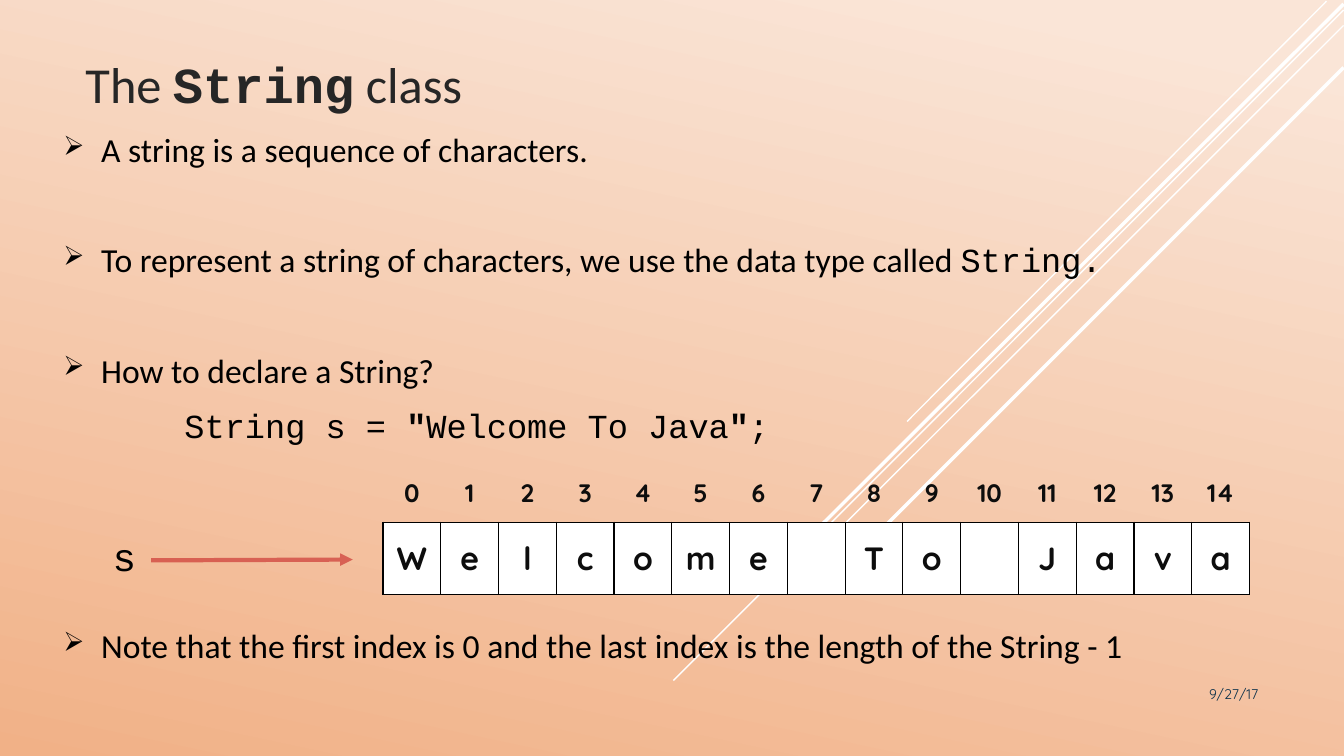
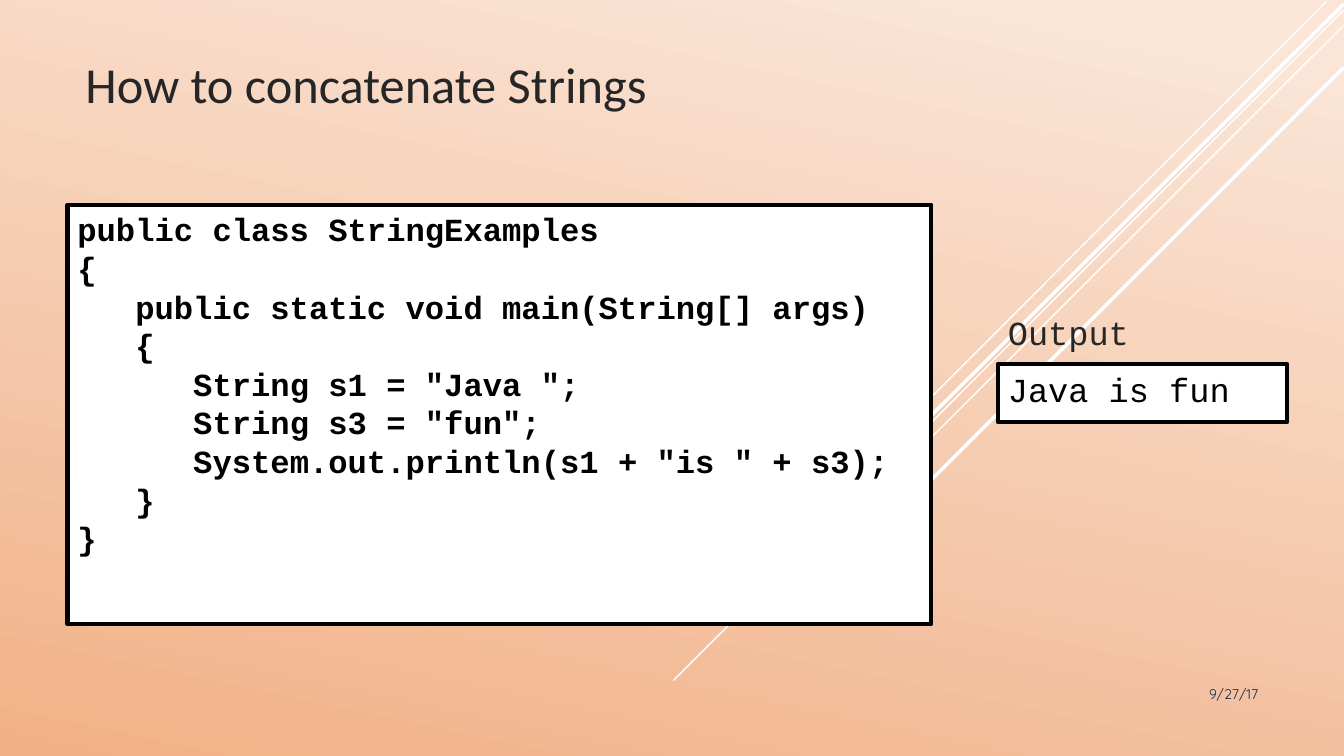
"""Build two slides about the Java String class."""
from lxml import etree
from pptx import Presentation
from pptx.dml.color import RGBColor
from pptx.enum import shapes, text
from pptx.oxml import ns
from pptx.util import Cm, Pt

BLACK = RGBColor(0x00, 0x00, 0x00)
WHITE = RGBColor(0xFF, 0xFF, 0xFF)
INK = RGBColor(0x26, 0x26, 0x26)
CELL_INK = RGBColor(0x0D, 0x0D, 0x0D)
NAVY = RGBColor(0x0A, 0x30, 0x4A)
RED = RGBColor(0xC6, 0x23, 0x24)
PEACH_LIGHT = RGBColor(0xFA, 0xE5, 0xD7)
PEACH_DARK = RGBColor(0xF1, 0xB1, 0x87)
BODY_FONT, CODE_FONT, LABEL_FONT = "Calibri", "Courier New", "Quicksand"


def write(para, size, color, *spans):
    """Add (wording, font, bold) spans to a paragraph."""
    for wording, font, bold in spans:
        span = para.add_run()
        span.text = wording
        span.font.name = font
        span.font.bold = bold
        span.font.size = Pt(size)
        span.font.color.rgb = color


def draw_line(page, ends, color, width):
    """Draw a straight connector without shadow."""
    line = page.shapes.add_connector(shapes.MSO_CONNECTOR.STRAIGHT, *map(Cm, ends))
    line.line.color.rgb = color
    line.line.width = Pt(width)
    etree.SubElement(line.element.spPr, ns.qn("a:effectLst"))
    return line


deck = Presentation()
deck.slide_width, deck.slide_height = Cm(33.87), Cm(19.05)

backdrop = deck.slide_master.background.fill
backdrop.gradient()
backdrop.gradient_angle = 258
for stop, color, position in zip(backdrop.gradient_stops, (PEACH_LIGHT, PEACH_DARK), (0.07, 1)):
    stop.color.rgb = color
    stop.position = position

RAYS = [
    ((33.43, 0.03, 22.86, 10.62), 1),
    ((33.86, 0.25, 16.97, 17.15), 1),
    ((33.86, 0.64, 20.09, 14.4), 1),
    ((33.86, 0.1, 20.37, 13.56), 2.5),
    ((33.86, 1.7, 21.79, 13.77), 2.5),
]
TITLES = [
    [("The ", BODY_FONT, False), ("String", CODE_FONT, True), (" class", BODY_FONT, False)],
    [("How to concatenate Strings", BODY_FONT, False)],
]
pages = []
for title_spans in TITLES:
    page = deck.slides.add_slide(deck.slide_layouts[5])
    pages.append(page)
    for ends, width in RAYS:
        draw_line(page, ends, WHITE, width)
    title = page.shapes.title
    title.left, title.top, title.width, title.height = Cm(1.9), Cm(0.38), Cm(22.22), Cm(2.62)
    title.text_frame.auto_size = text.MSO_AUTO_SIZE.NONE
    title.text_frame.vertical_anchor = text.MSO_ANCHOR.BOTTOM
    para = title.text_frame.paragraphs[0]
    para.alignment = text.PP_ALIGN.LEFT
    write(para, 36, INK, *title_spans)
    date = page.shapes.add_textbox(Cm(27.51), Cm(17.15), Cm(4.45), Cm(1.02))
    date.text_frame.word_wrap = True
    para = date.text_frame.paragraphs[0]
    para.alignment = text.PP_ALIGN.RIGHT
    write(para, 10, NAVY, ("9/27/17", LABEL_FONT, False))

string_page, concat_page = pages

BODY = [
    (0, True, [("A string is a sequence of characters.", BODY_FONT, False)]),
    (44, True, [
        ("To represent a string of characters, we use the data type called ", BODY_FONT, False),
        ("String.", CODE_FONT, False),
    ]),
    (44, True, [("How to declare a String?", BODY_FONT, False)]),
    (4.5, False, [
        ("String s = ", CODE_FONT, False),
        ('"', CODE_FONT, True),
        ("Welcome To Java", CODE_FONT, False),
        ('"', CODE_FONT, True),
        (";", CODE_FONT, False),
    ]),
    (122.5, True, [(
        "Note that the first index is 0 and the last index is the length of the String - 1",
        BODY_FONT, False,
    )]),
]
body = string_page.shapes.add_textbox(Cm(1.35), Cm(3.12), Cm(30.61), Cm(15.04)).text_frame
body.word_wrap = True
for number, (gap, bulleted, spans) in enumerate(BODY):
    para = body.add_paragraph() if number else body.paragraphs[0]
    para.alignment = text.PP_ALIGN.JUSTIFY
    para.space_before, para.space_after = Pt(gap), Pt(6)
    write(para, 24, BLACK, *spans)
    props = para._p.get_or_add_pPr()
    props.set("marL", str(Cm(0.95 if bulleted else 3.05)))
    if bulleted:
        props.set("indent", str(-Cm(0.95)))
        bullet_color = etree.SubElement(props, ns.qn("a:buClr"))
        etree.SubElement(bullet_color, ns.qn("a:srgbClr"), val=str(BLACK))
        etree.SubElement(props, ns.qn("a:buSzPct"), val="80000")
        etree.SubElement(props, ns.qn("a:buChar"), char="➢")

LETTERS = "Welcome To Java"
GRIDS = [
    (LETTERS, 13.16, 1.83, 23, True),
    ([str(index) for index in range(len(LETTERS))], 11.66, 1.52, 18, False),
]
for entries, top, height, size, boxed in GRIDS:
    table = string_page.shapes.add_table(
        1, len(entries), Cm(9.65), Cm(top), Cm(21.84), Cm(height)).table
    table.first_row = table.horz_banding = False
    table.rows[0].height = Cm(height)
    for column, entry in enumerate(entries):
        table.columns[column].width = Cm(21.84 / len(entries))
        cell = table.cell(0, column)
        cell.vertical_anchor = text.MSO_ANCHOR.MIDDLE
        cell.margin_left = cell.margin_right = Cm(0.2)
        cell.margin_top = cell.margin_bottom = Cm(0.1)
        if boxed:
            cell.fill.solid()
            cell.fill.fore_color.rgb = WHITE
        else:
            cell.fill.background()
        para = cell.text_frame.paragraphs[0]
        para.alignment = text.PP_ALIGN.CENTER
        if entry.strip():
            write(para, size, CELL_INK, (entry, LABEL_FONT, True))
        props = cell._tc.get_or_add_tcPr()
        for order, side in enumerate(("lnL", "lnR", "lnT", "lnB")):
            border = etree.Element(ns.qn("a:" + side), w=str(Pt(1)))
            if boxed:
                paint = etree.SubElement(border, ns.qn("a:solidFill"))
                etree.SubElement(paint, ns.qn("a:srgbClr"), val=str(BLACK))
            else:
                etree.SubElement(border, ns.qn("a:noFill"))
            props.insert(order, border)

variable = string_page.shapes.add_textbox(Cm(2.59), Cm(13.28), Cm(2.03), Cm(1.45))
variable.text_frame.word_wrap = True
write(variable.text_frame.paragraphs[0], 28, BLACK, ("s", CODE_FONT, False))

arrow = draw_line(string_page, (3.81, 14.12, 8.89, 14.1), RED, 3)
outline = arrow.line._get_or_add_ln()
etree.SubElement(outline.find(".//" + ns.qn("a:srgbClr")), ns.qn("a:alpha"), val="60000")
etree.SubElement(outline, ns.qn("a:tailEnd"), type="triangle")

CODE = [
    (0, "public class StringExamples"),
    (0, "{"),
    (1, "public static void main(String[] args)"),
    (1, "{"),
    (2, 'String s1 = "Java ";'),
    (2, 'String s3 = "fun";'),
    (2, 'System.out.println(s1 + "is " + s3);'),
    (1, "}"),
    (0, "}"),
]
PANELS = [
    ((1.7, 5.16, 21.77, 10.57), CODE, 23, True),
    ((25.15, 9.17, 7.29, 1.47), [(0, "Java is fun")], 24, False),
]
for place, lines, size, bold in PANELS:
    panel = concat_page.shapes.add_shape(shapes.MSO_SHAPE.RECTANGLE, *map(Cm, place))
    panel.shadow.inherit = False
    panel.fill.solid()
    panel.fill.fore_color.rgb = WHITE
    panel.line.color.rgb = BLACK
    panel.line.width = Pt(3)
    frame = panel.text_frame
    frame.word_wrap = True
    frame.vertical_anchor = text.MSO_ANCHOR.TOP
    for number, (depth, wording) in enumerate(lines):
        para = frame.add_paragraph() if number else frame.paragraphs[0]
        para.alignment = text.PP_ALIGN.LEFT
        para._p.get_or_add_pPr().set("marL", str(Cm(1.46 * depth)))
        write(para, size, BLACK, (wording, CODE_FONT, bold))

caption = concat_page.shapes.add_textbox(Cm(25.15), Cm(7.74), Cm(4.24), Cm(1.37))
caption.text_frame.word_wrap = True
write(caption.text_frame.paragraphs[0], 24, INK, ("Output", CODE_FONT, False))

deck.save("out.pptx")
